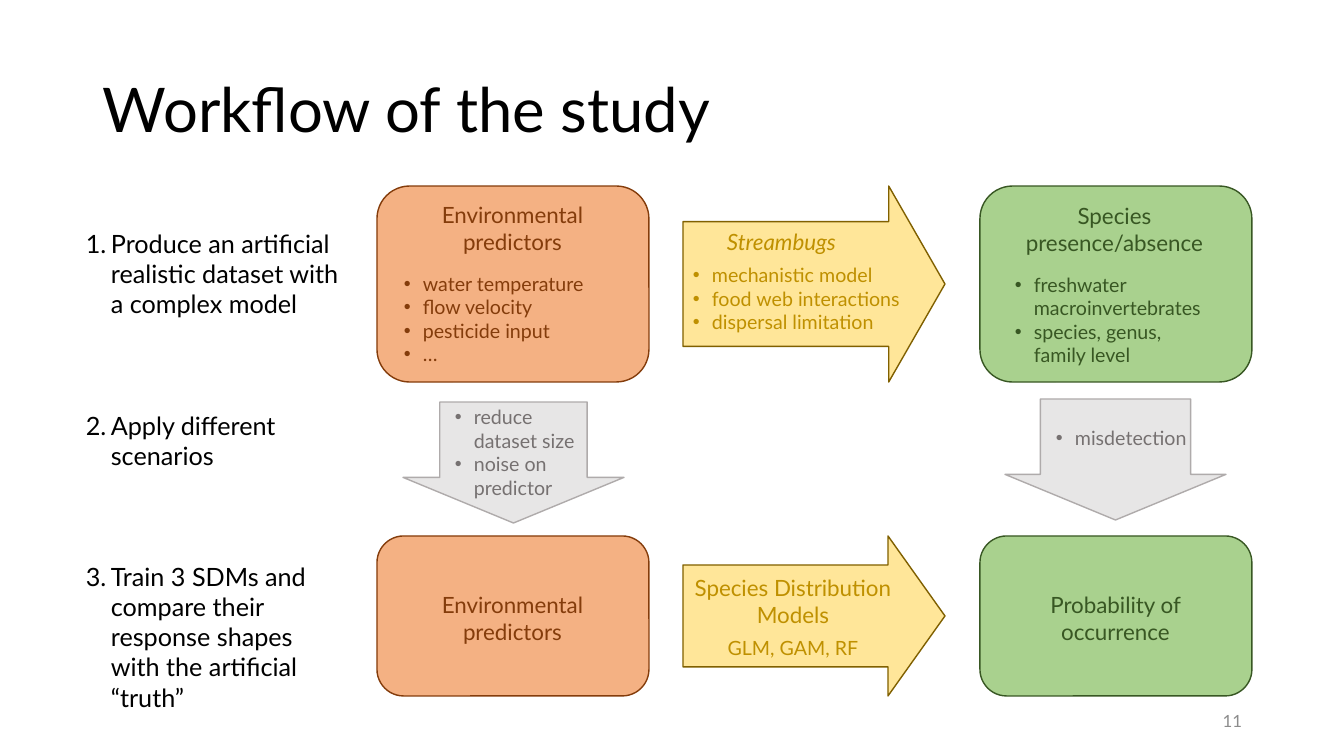
"""Build the study workflow slide: three steps beside a diagram of boxes and arrows."""
from lxml import etree
from pptx import Presentation
from pptx.dml.color import RGBColor
from pptx.enum.shapes import MSO_SHAPE as SHAPE
from pptx.enum.text import MSO_ANCHOR as ANCHOR, PP_ALIGN as ALIGN
from pptx.oxml.ns import qn
from pptx.util import Emu, Pt

SCALE = 914400 / 100.8
FONT = "Lato"
COLORS = {
    "black": "000000", "page": "8C8C8C",
    "orange": "F4B183", "orange_dark": "843C0B",
    "green": "A9D18E", "green_dark": "385723",
    "yellow": "FFE699", "yellow_dark": "806000", "yellow_text": "BF9000",
    "grey": "E7E6E6", "grey_dark": "AFABAB", "grey_text": "767171",
}

TITLE = "Workflow of the study"
PAGE = "11"
STEPS = [
    (223, "Produce an artificial realistic dataset with a complex model"),
    (405, "Apply different scenarios"),
    (556, "Train 3 SDMs and compare their response shapes with the artificial “truth”"),
]
ROWS = [(186, 196, 0.287), (536, 160, 0.356)]
BOXES = [(377, "orange"), (980, "green")]
BOX_W, FLOW_X, FLOW_W = 272, 683, 262
DOWN_ARROWS = [(403, 402, 0.667), (1005, 399, 0.68)]
DOWN_W, DOWN_H = 221, 121

HEAD = dict(size=16, align=ALIGN.CENTER, after=12)
TOOL = dict(size=16, italic=True, left=34, after=6)
MODEL = dict(size=16, align=ALIGN.CENTER, after=6)
METHODS = dict(size=14, align=ALIGN.CENTER, after=6)
ITEM = dict(size=14, bullet="•", left=19)

LABELS = [
    ((394, 196, 237, 197), "orange_dark", [
        ("Environmental predictors", HEAD), ("water temperature", ITEM),
        ("flow velocity", ITEM), ("pesticide input", ITEM), ("…", ITEM)]),
    ((1005, 197, 219, 200), "green_dark", [
        ("Species presence/absence", HEAD), ("freshwater macroinvertebrates", ITEM),
        ("species, genus, family level", ITEM)]),
    ((683, 223, 230, 144), "yellow_text", [
        ("Streambugs", TOOL), ("mechanistic model", ITEM),
        ("food web interactions", ITEM), ("dispersal limitation", ITEM)]),
    ((394, 586, 237, 60), "orange_dark", [("Environmental predictors", HEAD)]),
    ((1007, 586, 217, 64), "green_dark", [("Probability of occurrence", HEAD)]),
    ((683, 569, 220, 97), "yellow_text", [
        ("Species Distribution Models", MODEL), ("GLM, GAM, RF", METHODS)]),
    ((445, 400, 145, 105), "grey_text", [
        ("reduce dataset size", ITEM), ("noise on predictor", ITEM)]),
    ((1046, 421, 165, 57), "grey_text", [("misdetection", ITEM)]),
]


def px(n):
    return Emu(round(n * SCALE))


def rgb(name):
    return RGBColor.from_string(COLORS[name])


def add_shape(slide, kind, box, fill, adjust=()):
    s = slide.shapes.add_shape(kind, *map(px, box))
    s.shadow.inherit = False
    s.fill.solid()
    s.fill.fore_color.rgb = rgb(fill)
    s.line.color.rgb = rgb(fill + "_dark")
    s.line.width = Pt(1)
    for i, value in enumerate(adjust):
        s.adjustments[i] = value


def add_frame(slide, box, anchor=ANCHOR.TOP):
    tf = slide.shapes.add_textbox(*map(px, box)).text_frame
    tf.word_wrap = True
    tf.vertical_anchor = anchor
    return tf


def write(p, text, size, color, align=ALIGN.LEFT, italic=False, after=0,
          spacing=1.0, left=0, bullet=None, number=None):
    p.alignment = align
    p.line_spacing = spacing
    p.space_after = Pt(after)
    r = p.add_run()
    r.text = text
    r.font.name = FONT
    r.font.size = Pt(size)
    r.font.italic = italic
    r.font.color.rgb = rgb(color)
    pPr = p._p.get_or_add_pPr()
    pPr.set("marL", str(px(left)))
    if bullet or number:
        pPr.set("indent", str(-px(left)))
    if bullet:
        etree.SubElement(pPr, qn("a:buFont"), typeface="Arial")
        etree.SubElement(pPr, qn("a:buChar"), char=bullet)
    elif number:
        etree.SubElement(pPr, qn("a:buAutoNum"), type="arabicPeriod", startAt=str(number))


def main():
    prs = Presentation()
    prs.slide_width, prs.slide_height = px(1344), px(756)
    slide = prs.slides.add_slide(prs.slide_layouts[6])

    tf = add_frame(slide, (93, 40, 1159, 146), ANCHOR.MIDDLE)
    write(tf.paragraphs[0], TITLE, 44, "black", spacing=0.9)
    tf = add_frame(slide, (950, 701, 302, 40), ANCHOR.MIDDLE)
    write(tf.paragraphs[0], PAGE, 12, "page", align=ALIGN.RIGHT)

    for top, height, head in ROWS:
        for left, color in BOXES:
            add_shape(slide, SHAPE.ROUNDED_RECTANGLE, (left, top, BOX_W, height), color)
        add_shape(slide, SHAPE.RIGHT_ARROW, (FLOW_X, top, FLOW_W, height), "yellow", (0.637, head))
    for left, top, shaft in DOWN_ARROWS:
        add_shape(slide, SHAPE.DOWN_ARROW, (left, top, DOWN_W, DOWN_H), "grey", (shaft, 0.377))

    for box, color, lines in LABELS:
        tf = add_frame(slide, box)
        for i, (text, style) in enumerate(lines):
            p = tf.add_paragraph() if i else tf.paragraphs[0]
            write(p, text, color=color, **style)

    for number, (top, text) in enumerate(STEPS, 1):
        tf = add_frame(slide, (76, top, 277, 100))
        write(tf.paragraphs[0], text, 18, "black", left=25, number=number)

    prs.save("out.pptx")


if __name__ == "__main__":
    main()
